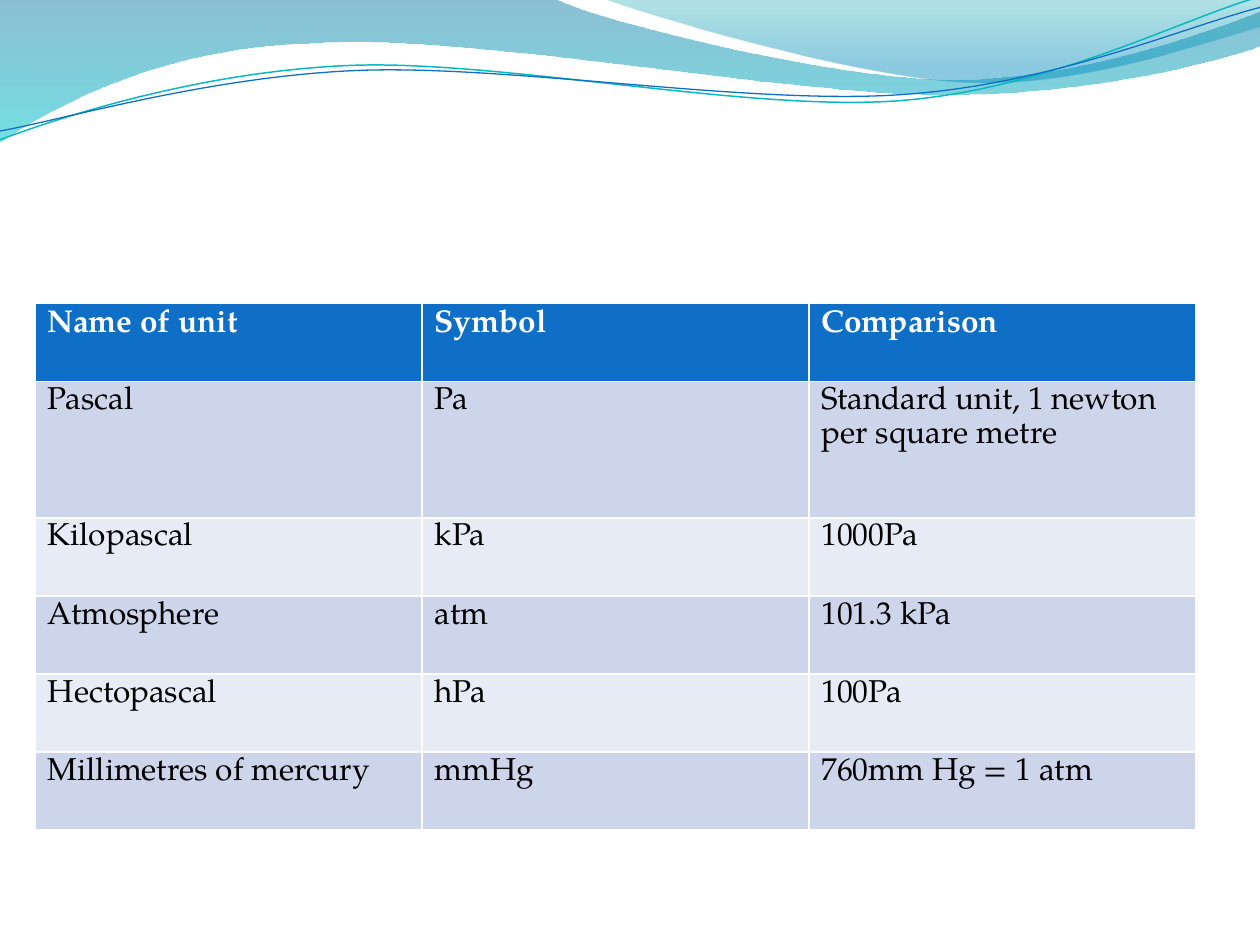
from math import cos, radians, sin

from pptx import Presentation
from pptx.dml.color import RGBColor
from pptx.oxml.ns import qn
from pptx.oxml.xmlchemy import OxmlElement
from pptx.util import Inches, Pt

FONT = "TeX Gyre Pagella"
WHITE = RGBColor(255, 255, 255)
BLACK = RGBColor(0, 0, 0)
BLUE = RGBColor(0x0F, 0x6F, 0xC6)
TEAL = RGBColor(0x0A, 0xB8, 0xBF)
DARK = RGBColor(0xCC, 0xD5, 0xEA)
PALE = RGBColor(0xE7, 0xEB, 0xF5)
NAVY = RGBColor(0x00, 0x74, 0xA1)
AQUA = RGBColor(0x00, 0xC6, 0xCF)
SEA = RGBColor(0x00, 0xA1, 0xA9)
SKY = RGBColor(0x00, 0x8B, 0xBF)
TILT = 2.7

# Each path is a start and then steps: one point for a line, three for a curve
BACK = [[(0, 0)], [(4.4, -0.01)],
        [(4.76, 0.17), (6.64, 0.63), (7.58, 0.63)],
        [(8.53, 0.63), (9.58, 0.26), (10, 0.09)], [(10.01, 0.36)],
        [(9.83, 0.44), (8.7, 0.76), (7.46, 0.75)],
        [(6.22, 0.75), (3.82, 0.28), (2.57, 0.34)],
        [(1.29, 0.36), (0.46, 0.83), (-0.01, 1.13)], [(0, 0)]]
FRONT = [[(4.79, -0.01)],
         [(5.09, 0.11), (6.82, 0.62), (7.69, 0.65)],
         [(8.56, 0.69), (9.61, 0.32), (10, 0.21)],
         [(10, 0)], [(4.79, -0.01)]]
UPPER = [[(0, 1.11)],
         [(0.48, 0.93), (1.58, 0.57), (2.77, 0.52)],
         [(3.95, 0.47), (5.93, 0.89), (7.13, 0.8)],
         [(8.33, 0.71), (9.38, 0.15), (9.98, -0.02)]]
LOWER = [[(0, 1.04)],
         [(0.47, 0.96), (1.64, 0.61), (2.83, 0.56)],
         [(4.03, 0.51), (5.97, 0.84), (7.17, 0.75)],
         [(8.36, 0.67), (9.41, 0.21), (10, 0.06)]]

ROWS = [
    ("Name of unit", "Symbol", "Comparison"),
    ("Pascal", "Pa", "Standard unit, 1 newton per square metre"),
    ("Kilopascal", "kPa", "1000Pa"),
    ("Atmosphere", "atm", "101.3 kPa"),
    ("Hectopascal", "hPa", "100Pa"),
    ("Millimetres of mercury", "mmHg", "760mm Hg = 1 atm"),
]


def turn(point, mid, angle):
    """Turn a point clockwise about mid."""
    x, y = point[0] - mid[0], point[1] - mid[1]
    c, s = cos(radians(angle)), sin(radians(angle))
    return mid[0] + x * c - y * s, mid[1] + x * s + y * c


def add_path(slide, steps, close=False):
    """Build the outline from its nodes, then bend lines into curves."""
    steps = [[(Inches(x), Inches(y)) for x, y in step] for step in steps]
    nodes = [step[-1] for step in steps]
    pen = slide.shapes.build_freeform(*nodes[0])
    pen.add_line_segments(nodes[1:], close=close)
    shape = pen.convert_to_shape()
    shape.shadow.inherit = False
    lines = list(shape.element.iter(qn("a:lnTo")))
    for line, step in zip(lines, steps[1:]):
        if len(step) == 1:
            continue
        curve = OxmlElement("a:cubicBezTo")
        for x, y in step:
            node = OxmlElement("a:pt")
            node.set("x", str(x - shape.left))
            node.set("y", str(y - shape.top))
            curve.append(node)
        line.getparent().replace(line, curve)
    return shape


def add_wave(slide, steps, stops):
    shape = add_path(slide, steps, close=True)
    shape.line.fill.background()
    shape.fill.gradient()
    shape.fill.gradient_angle = 270  # top to bottom
    for stop, (place, color, _) in zip(shape.fill.gradient_stops, stops):
        stop.position = place
        stop.color.rgb = color
    tints = shape.element.spPr.iter(qn("a:srgbClr"))
    for tint, (_, _, alpha) in zip(tints, stops):
        child = OxmlElement("a:alpha")
        child.set("val", str(alpha * 1000))
        tint.append(child)


def add_curve(slide, steps, color, width):
    """Draw a level curve and tilt it into place."""
    (x1, y1), (x2, y2) = steps[0][0], steps[-1][-1]
    mid = (x1 + x2) / 2, (y1 + y2) / 2
    level = [[turn(p, mid, TILT) for p in step] for step in steps]
    shape = add_path(slide, level)
    shape.rotation = 360 - TILT
    shape.fill.background()
    shape.line.color.rgb = color
    shape.line.width = Pt(width)


def fill_cell(cell, text, row):
    head = row == 0
    cell.text = text
    cell.margin_top, cell.margin_bottom = Inches(0.03), 0
    cell.fill.solid()
    cell.fill.fore_color.rgb = BLUE if head else DARK if row % 2 else PALE
    para = cell.text_frame.paragraphs[0]
    para.line_spacing = Pt(19)
    para.font.name = FONT
    para.font.size = Pt(18)
    para.font.bold = head
    para.font.color.rgb = WHITE if head else BLACK


def add_units(slide):
    table = slide.shapes.add_table(
        len(ROWS), 3, Inches(0.28), Inches(2.41),
        Inches(9.21), Inches(4.17)).table
    for col in table.columns:
        col.width = Inches(3.07)
    for i, texts in enumerate(ROWS):
        table.rows[i].height = Inches(1.08 if i == 1 else 0.62)
        for j, text in enumerate(texts):
            fill_cell(table.cell(i, j), text, i)


def main():
    deck = Presentation()
    deck.slide_width, deck.slide_height = Inches(10), Inches(7.5)
    slide = deck.slides.add_slide(deck.slide_layouts[6])

    # Waves along the top
    add_wave(slide, BACK, [(0, NAVY, 45), (1, AQUA, 55)])
    add_wave(slide, FRONT, [(0, SEA, 30), (0.8, SKY, 45)])
    add_curve(slide, UPPER, TEAL, 0.85)
    add_curve(slide, LOWER, BLUE, 0.75)

    # Table of pressure units
    add_units(slide)
    deck.save("out.pptx")


if __name__ == "__main__":
    main()
